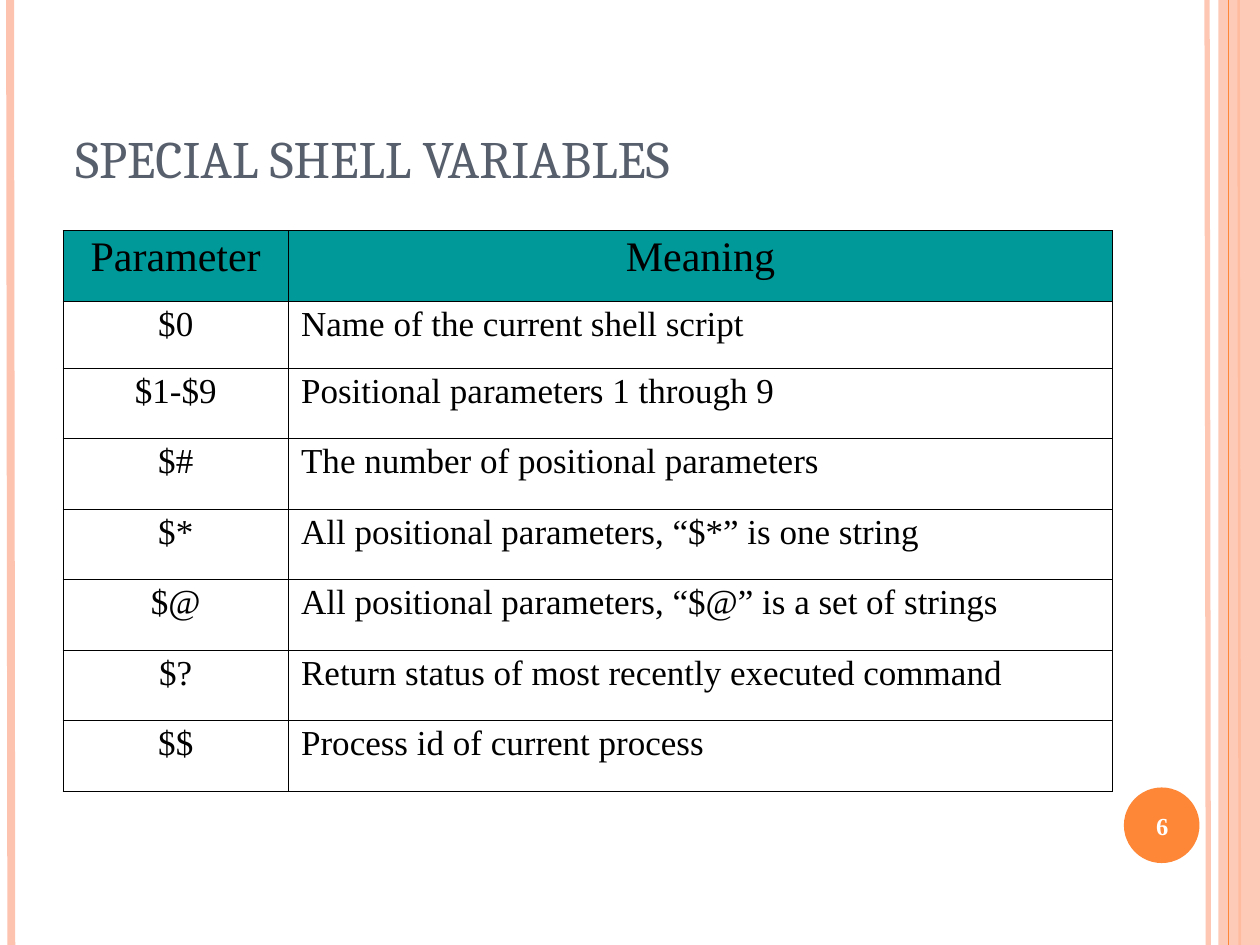
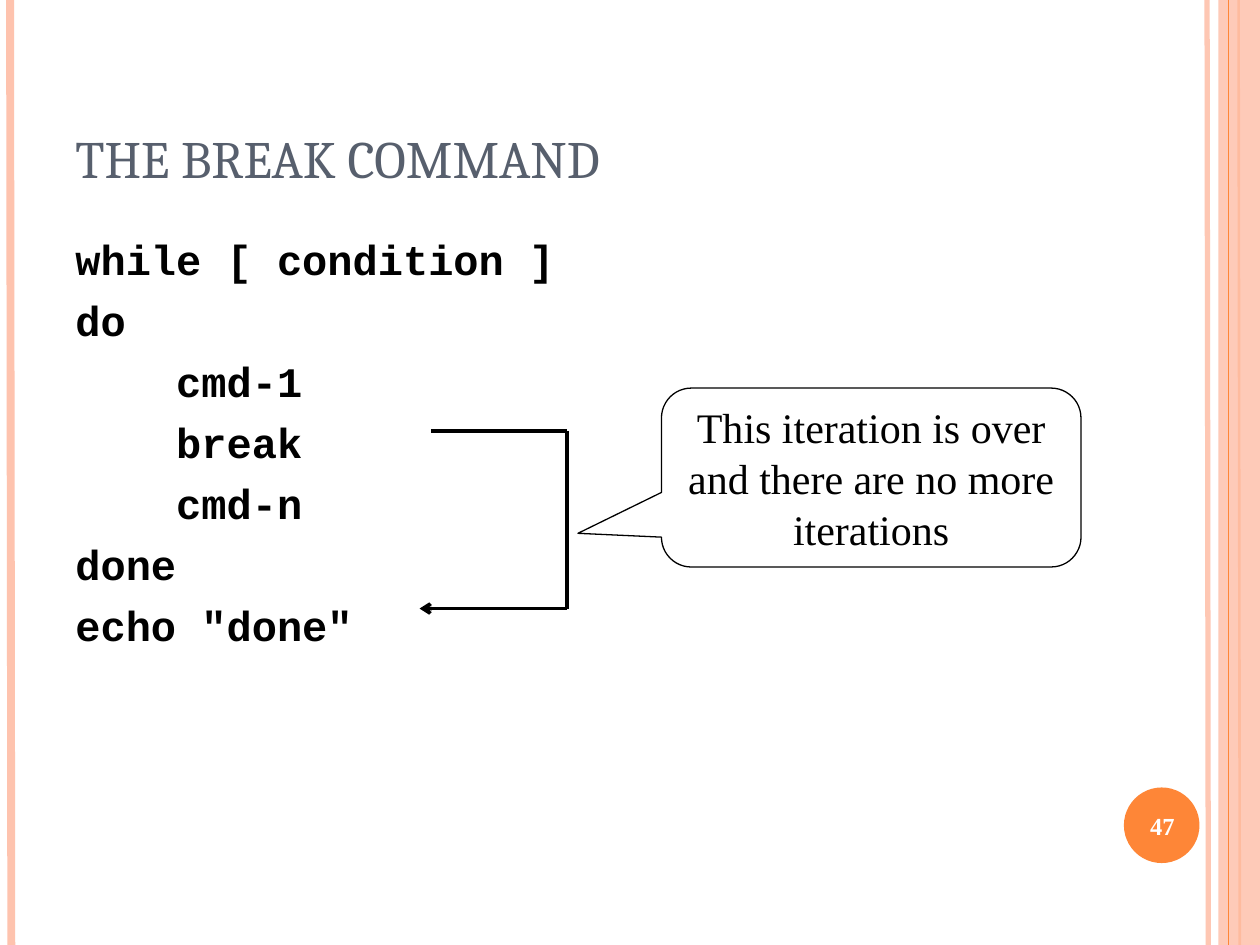
import pptx
import pptx.dml.color
import pptx.enum.shapes
import pptx.enum.text
import pptx.oxml.ns
import pptx.util
from lxml import etree
from pptx.util import Inches

Pt = pptx.util.Pt
SHAPE = pptx.enum.shapes.MSO_SHAPE
ALIGN = pptx.enum.text.PP_ALIGN
ANCHOR = pptx.enum.text.MSO_ANCHOR
qn = pptx.oxml.ns.qn

# Shared colours and text styles
PEACH, ORANGE, SLATE = "FEC3AE", "FE8637", "575F6D"
TEAL, BLACK, WHITE = "009999", "000000", "FFFFFF"
SERIF = "Times New Roman"
TITLE = {"name": "Cambria", "size": Pt(30)}
NUMBER = {"name": SERIF, "size": Pt(14), "bold": True}
LARGE = {"name": SERIF, "size": Pt(24)}
CELL = {"name": SERIF, "size": Pt(20)}
CODE = {"name": "Courier New", "size": Pt(24), "bold": True}

# Slide content
VARIABLES = [
    ("Parameter", "Meaning"),
    ("$0", "Name of the current shell script"),
    ("$1-$9", "Positional parameters 1 through 9"),
    ("$#", "The number of positional parameters"),
    ("$*", "All positional parameters, “$*” is one string"),
    ("$@", "All positional parameters, “$@” is a set of strings"),
    ("$?", "Return status of most recently executed command"),
    ("$$", "Process id of current process"),
]
BREAK_CODE = [
    "while [ condition ]",
    "do",
    "    cmd-1",
    "    break",
    "    cmd-n",
    "done",
    'echo "done"',
]


def paint(color_format, color, opacity=100):
    color_format.rgb = pptx.dml.color.RGBColor.from_string(color)
    if opacity < 100:
        node = color_format._xFill.find(qn("a:srgbClr"))
        etree.SubElement(node, qn("a:alpha"), val=str(opacity * 1000))


def apply(target, values):
    for name, value in values.items():
        setattr(target, name, value)


def write(frame, lines, font, color=BLACK, paragraph=None, gap=0):
    """Fill a text frame with one paragraph per line."""
    for index, line in enumerate(lines):
        para = frame.add_paragraph() if index else frame.paragraphs[0]
        apply(para, paragraph or {})
        if index:
            para.space_before = Pt(gap)
        span = para.add_run()
        span.text = line
        apply(span.font, font)
        paint(span.font.color, color)


def add_text(page, place, lines, font, frame_format, **style):
    box = page.shapes.add_textbox(*map(Inches, place))
    apply(box.text_frame, {"word_wrap": True, **frame_format})
    write(box.text_frame, lines, font, **style)


def add_shape(page, kind, place, fill=None, opacity=100):
    shape = page.shapes.add_shape(kind, *map(Inches, place))
    shape.shadow.inherit = False
    shape.line.fill.background()
    if fill:
        shape.fill.solid()
        paint(shape.fill.fore_color, fill, opacity)
    else:
        shape.fill.background()
    return shape


def add_line(page, start, end, color, width, opacity=100, arrow=False):
    line = page.shapes.add_connector(
        pptx.enum.shapes.MSO_CONNECTOR.STRAIGHT, *map(Inches, start + end))
    line.line.width = Pt(width)
    line.line.fill.solid()
    paint(line.line.fill.fore_color, color, opacity)
    if arrow:
        etree.SubElement(line.line._ln, qn("a:tailEnd"), type="arrow")
    etree.SubElement(line._element.spPr, qn("a:effectLst"))


def add_page(deck, title, number):
    """Add a slide with its bands, title and page number."""
    page = deck.slides.add_slide(deck.slide_layouts[6])
    for left, right, color, width, opacity in [
        (9.58, 9.59, PEACH, 3, 93),
        (0.08, 0.09, PEACH, 4.5, 100),
        (9.83, 9.84, ORANGE, 1.5, 100),
    ]:
        add_line(page, (left, 0), (right, 7.5), color, width, opacity)
    add_shape(page, SHAPE.RECTANGLE, (9.67, 0, 0.33, 7.5), PEACH, 87)
    add_line(page, (9.75, 0), (9.75, 7.5), ORANGE, 0.75)
    add_shape(page, SHAPE.OVAL, (8.92, 6.25, 0.6, 0.6), ORANGE)
    add_text(page, (0.5, 0.3, 8.17, 1.25), [title], TITLE,
             {"vertical_anchor": ANCHOR.BOTTOM}, color=SLATE)
    add_text(page, (8.89, 6.27, 0.67, 0.57), [str(number)], NUMBER,
             {"vertical_anchor": ANCHOR.MIDDLE}, color=WHITE,
             paragraph={"alignment": ALIGN.CENTER})
    return page


def add_borders(cell, outer_sides):
    """Draw the four cell borders, heavier on the table's outer edge."""
    props = cell._tc.get_or_add_tcPr()
    for index, side in enumerate("LRTB"):
        width = Pt(0.5 if side in outer_sides else 0.23)
        border = etree.Element(qn("a:ln" + side), w=str(int(width)))
        fill = etree.SubElement(border, qn("a:solidFill"))
        etree.SubElement(fill, qn("a:srgbClr"), val=BLACK)
        props.insert(index, border)


def add_variable_table(page, rows):
    frame = page.shapes.add_table(
        len(rows), 2, *map(Inches, (0.5, 1.83, 8.33, 4.42)))
    table = frame.table
    apply(table, {"first_row": False, "horz_banding": False})
    for column, width in zip(table.columns, (1.79, 6.54)):
        column.width = Inches(width)
    for r, row in enumerate(rows):
        table.rows[r].height = Inches(0.53 if r == 1 else 0.56)
        for c, text in enumerate(row):
            cell = table.cell(r, c)
            if r == 0:
                cell.fill.solid()
                paint(cell.fill.fore_color, TEAL)
            else:
                cell.fill.background()
            outer = "R" if c else "L"
            outer += "T" if r == 0 else "B" if r == len(rows) - 1 else ""
            add_borders(cell, outer)
            centred = r == 0 or c == 0
            write(cell.text_frame, [text], CELL if r else LARGE,
                  paragraph={
                      "alignment": ALIGN.CENTER if centred else ALIGN.LEFT,
                      "line_spacing": 0.93})


def add_callout(page, place, text):
    callout = add_shape(page, SHAPE.ROUNDED_RECTANGULAR_CALLOUT, place)
    for index, value in enumerate((-0.699, 0.312, 0.167)):
        callout.adjustments[index] = value
    callout.line.width = Pt(0.75)
    callout.line.fill.solid()
    paint(callout.line.fill.fore_color, BLACK)
    apply(callout.text_frame,
          {"word_wrap": True, "vertical_anchor": ANCHOR.MIDDLE})
    write(callout.text_frame, [text], LARGE,
          paragraph={"alignment": ALIGN.CENTER, "line_spacing": Pt(28.9)})


def add_jump(page, points):
    """Draw a bent path whose last leg carries an arrowhead."""
    for start, end in zip(points, points[1:]):
        add_line(page, start, end, BLACK, 2, arrow=end == points[-1])


def main():
    deck = pptx.Presentation()
    apply(deck, {"slide_width": Inches(10), "slide_height": Inches(7.5)})

    # Special variables
    page = add_page(deck, "SPECIAL SHELL VARIABLES", 6)
    add_variable_table(page, VARIABLES)

    # Break command
    page = add_page(deck, "THE BREAK COMMAND", 47)
    add_text(page, (0.5, 1.75, 8.17, 5.33), BREAK_CODE, CODE,
             {"margin_top": Inches(0.1)},
             paragraph={"line_spacing": Pt(28.9)}, gap=6)
    add_jump(page, [(3.42, 3.42), (4.5, 3.42), (4.5, 4.83), (3.33, 4.83)])
    add_callout(page, (5.25, 3.08, 3.33, 1.42),
                "This iteration is over and there are no more iterations")

    deck.save("out.pptx")


if __name__ == "__main__":
    main()
